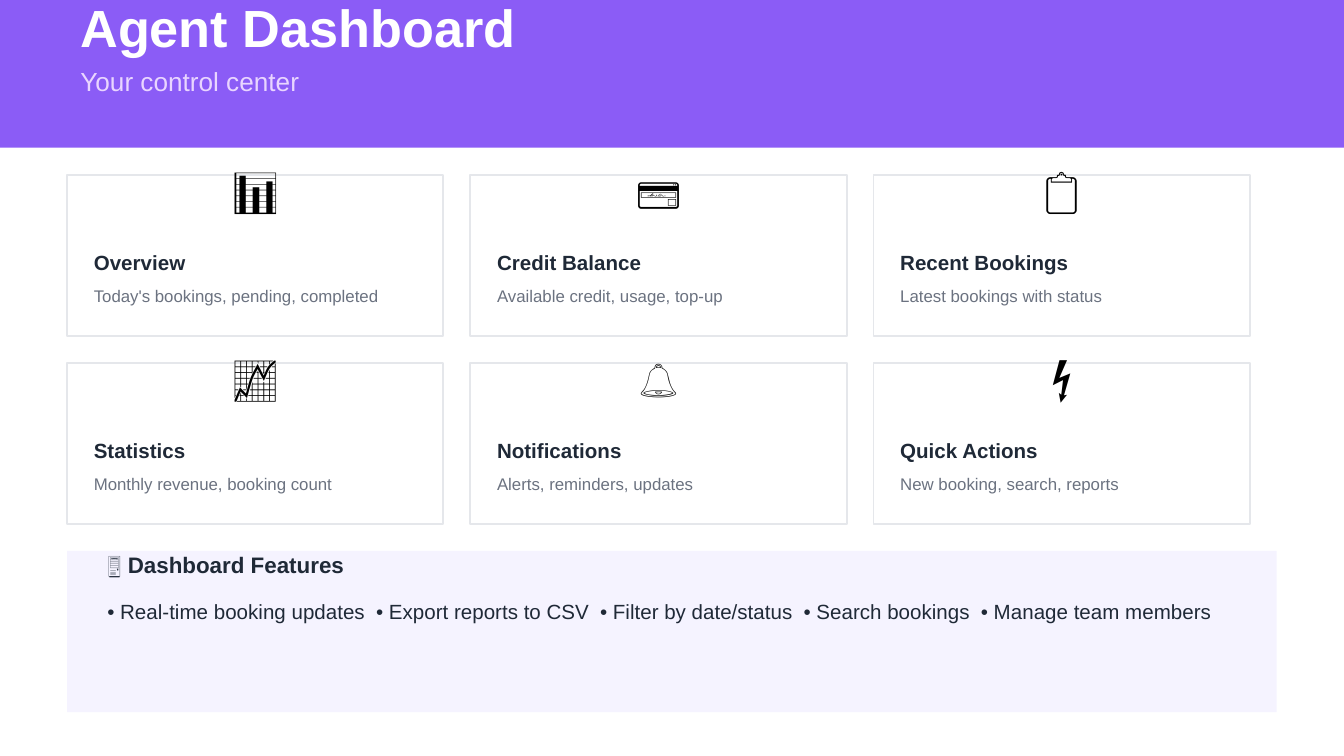
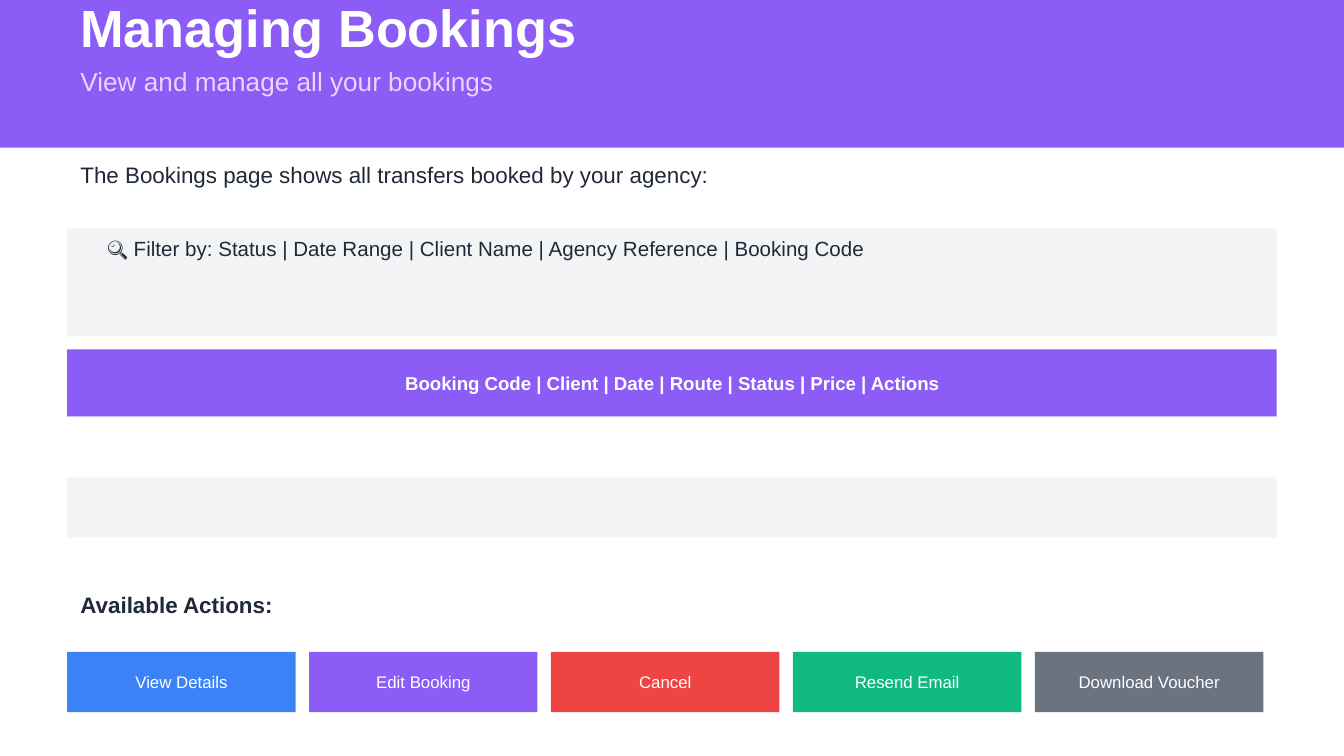
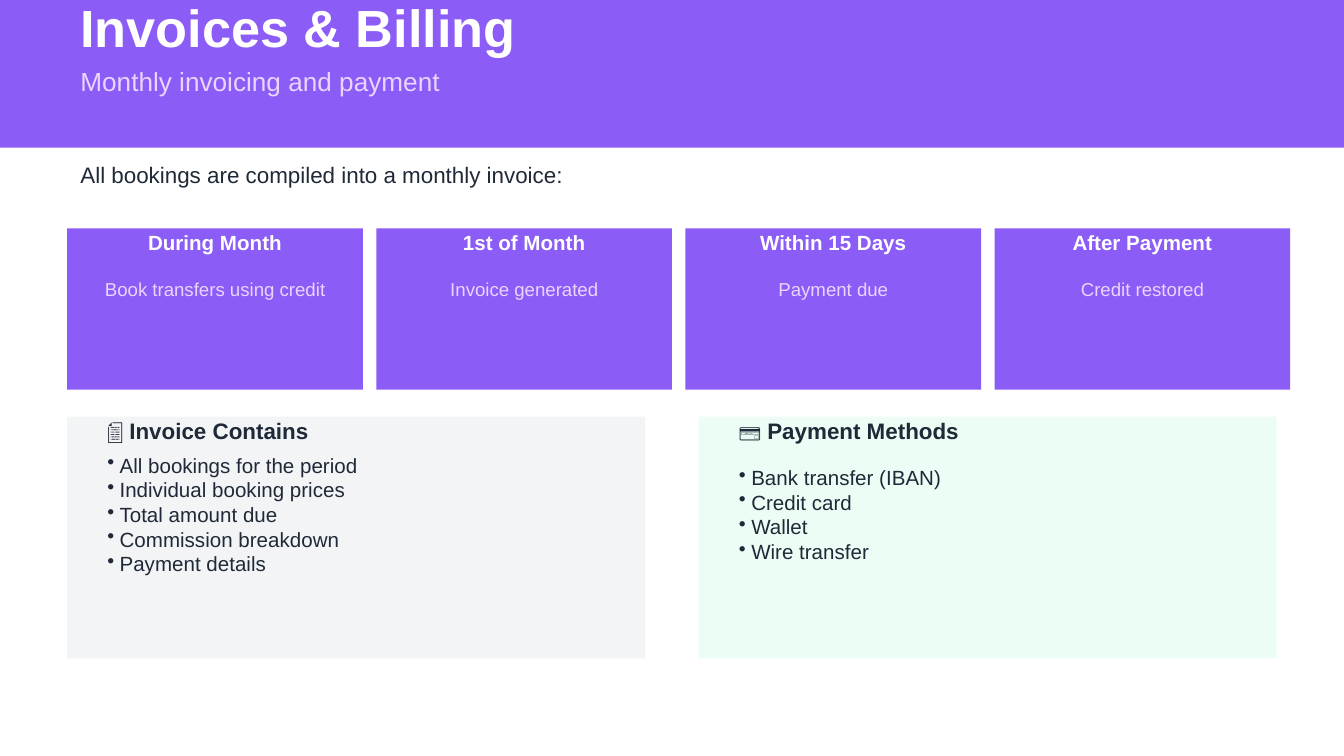
from lxml import etree
from pptx import Presentation
from pptx.dml.color import RGBColor
from pptx.enum import shapes, text
from pptx.oxml.ns import qn
from pptx.util import Pt

# Colours
WHITE = RGBColor(0xFF, 0xFF, 0xFF)
BLACK = RGBColor(0x00, 0x00, 0x00)
PURPLE = RGBColor(0x8B, 0x5C, 0xF6)
LILAC = RGBColor(0xE9, 0xD5, 0xFF)
PALE_LILAC = RGBColor(0xF5, 0xF3, 0xFF)
INK = RGBColor(0x1F, 0x29, 0x37)
GRAY = RGBColor(0x6B, 0x72, 0x80)
PALE_GRAY = RGBColor(0xF3, 0xF4, 0xF6)
BORDER = RGBColor(0xE5, 0xE7, 0xEB)
BLUE = RGBColor(0x3B, 0x82, 0xF6)
RED = RGBColor(0xEF, 0x44, 0x44)
GREEN = RGBColor(0x10, 0xB9, 0x81)
PALE_GREEN = RGBColor(0xEC, 0xFD, 0xF5)

# Shared layout, in points
PAGE_WIDTH, PAGE_HEIGHT = 720, 405
MARGIN = 36
CONTENT_WIDTH = PAGE_WIDTH - 2 * MARGIN
TEXT_WIDTH = 540
BULLET_INDENT = 6.6

# Content
CARDS = [
    ("📊", "Overview", "Today's bookings, pending, completed"),
    ("💳", "Credit Balance", "Available credit, usage, top-up"),
    ("📋", "Recent Bookings", "Latest bookings with status"),
    ("📈", "Statistics", "Monthly revenue, booking count"),
    ("🔔", "Notifications", "Alerts, reminders, updates"),
    ("⚡", "Quick Actions", "New booking, search, reports"),
]
FEATURES = ["Real-time booking updates", "Export reports to CSV",
            "Filter by date/status", "Search bookings", "Manage team members"]
FEATURE_TABS = [144, 264, 373, 468]

FILTERS = ["Status", "Date Range", "Client Name", "Agency Reference", "Booking Code"]
COLUMNS = ["Booking Code", "Client", "Date", "Route", "Status", "Price", "Actions"]
ROW_FILLS = [WHITE, PALE_GRAY, WHITE]
ACTIONS = [
    ("View Details", BLUE),
    ("Edit Booking", PURPLE),
    ("Cancel", RED),
    ("Resend Email", GREEN),
    ("Download Voucher", GRAY),
]

BILLING_STEPS = [
    ("During Month", "Book transfers using credit"),
    ("1st of Month", "Invoice generated"),
    ("Within 15 Days", "Payment due"),
    ("After Payment", "Credit restored"),
]
PANELS = [
    ("📄 Invoice Contains", PALE_GRAY,
     ["All bookings for the period", "Individual booking prices", "Total amount due",
      "Commission breakdown", "Payment details"]),
    ("💳 Payment Methods", PALE_GREEN,
     ["Bank transfer (IBAN)", "Credit card", "Wallet", "Wire transfer"]),
]
LIST_TOP, LIST_PITCH = 242.4, 13.25


def write(para, words, size, color, bold=False, font="Arial", centred=False):
    para.alignment = text.PP_ALIGN.CENTER if centred else text.PP_ALIGN.LEFT
    span = para.add_run()
    span.text = words
    span.font.name = font
    span.font.size = Pt(size)
    span.font.bold = bold
    span.font.color.rgb = color


def add_box(page, left, top, width, height, fill, border=None):
    box = page.shapes.add_shape(shapes.MSO_SHAPE.RECTANGLE,
                                Pt(left), Pt(top), Pt(width), Pt(height))
    box.shadow.inherit = False
    box.fill.solid()
    box.fill.fore_color.rgb = fill
    if border is None:
        box.line.fill.background()
    else:
        box.line.color.rgb = border
        box.line.width = Pt(1)
    return box


def add_label(page, left, middle, width, words, size, color, **style):
    """Add one line of text centred vertically on the height `middle`."""
    box = page.shapes.add_textbox(Pt(left), Pt(middle), Pt(width), Pt(0))
    frame = box.text_frame
    frame.word_wrap = True
    frame.vertical_anchor = text.MSO_ANCHOR.MIDDLE
    write(frame.paragraphs[0], words, size, color, **style)
    return box


def add_button(page, left, top, width, height, fill, words, size, bold=False):
    box = add_box(page, left, top, width, height, fill)
    box.text_frame.vertical_anchor = text.MSO_ANCHOR.MIDDLE
    write(box.text_frame.paragraphs[0], words, size, WHITE, bold=bold, centred=True)


def set_tabs(para, stops):
    tab_list = etree.SubElement(para._p.get_or_add_pPr(), qn("a:tabLst"))
    for stop in stops:
        etree.SubElement(tab_list, qn("a:tab"), pos=str(Pt(stop)), algn="l")


def add_bullets(page, left, top, width, items):
    box = page.shapes.add_textbox(Pt(left), Pt(top), Pt(width),
                                  Pt(LIST_PITCH * len(items)))
    frame = box.text_frame
    frame.word_wrap = True
    frame.margin_top = frame.margin_bottom = 0
    for index, item in enumerate(items):
        para = frame.add_paragraph() if index else frame.paragraphs[0]
        para.line_spacing = Pt(LIST_PITCH)
        write(para, item, 11, INK)
        settings = para._p.get_or_add_pPr()
        settings.set("marL", str(Pt(BULLET_INDENT)))
        settings.set("indent", str(-Pt(BULLET_INDENT)))
        etree.SubElement(settings, qn("a:buChar"), char="•")


def add_page(deck, title, subtitle):
    page = deck.slides.add_slide(deck.slide_layouts[6])
    page.background.fill.solid()
    page.background.fill.fore_color.rgb = WHITE
    add_box(page, 0, 0, PAGE_WIDTH, 79.2, PURPLE)
    add_label(page, MARGIN, 14.4, TEXT_WIDTH, title, 28, WHITE, bold=True)
    add_label(page, MARGIN, 43.2, TEXT_WIDTH, subtitle, 14, LILAC)
    return page


def build_dashboard(deck):
    page = add_page(deck, "Agent Dashboard", "Your control center")

    # Grid of cards, three to a row
    width, height, gap = 201.6, 86.4, 14.4
    for index, (icon, title, detail) in enumerate(CARDS):
        row, column = divmod(index, 3)
        left = MARGIN + column * (width + gap)
        top = 93.6 + row * (height + gap)
        add_box(page, left, top, width, height, WHITE, BORDER)
        add_label(page, left, top + 7.2, width, icon, 24, BLACK,
                  font="Calibri", centred=True)
        add_label(page, left + 7.2, top + 46.8, width - 14.4, title, 11, INK, bold=True)
        add_label(page, left + 7.2, top + 64.8, width - 14.4, detail, 9, GRAY)

    # Feature strip
    add_box(page, MARGIN, 295.2, CONTENT_WIDTH, 86.4, PALE_LILAC)
    add_label(page, 50.4, 302.4, TEXT_WIDTH, "🖥️ Dashboard Features", 12, INK, bold=True)
    features = "\t".join(f"• {feature}" for feature in FEATURES)
    strip = add_label(page, 50.4, 327.6, 612, features, 11, INK)
    set_tabs(strip.text_frame.paragraphs[0], FEATURE_TABS)


def build_bookings(deck):
    page = add_page(deck, "Managing Bookings", "View and manage all your bookings")
    add_label(page, MARGIN, 93.6, TEXT_WIDTH,
              "The Bookings page shows all transfers booked by your agency:", 12, INK)

    # Filter bar
    add_box(page, MARGIN, 122.4, CONTENT_WIDTH, 57.6, PALE_GRAY)
    add_label(page, 50.4, 133.2, TEXT_WIDTH,
              "🔍 Filter by: " + " | ".join(FILTERS), 11, INK)

    # Booking list: heading and striped rows
    add_button(page, MARGIN, 187.2, CONTENT_WIDTH, 36, PURPLE,
               " | ".join(COLUMNS), 10, bold=True)
    row_height = 32.4
    for row, fill in enumerate(ROW_FILLS):
        add_box(page, MARGIN, 223.2 + row * row_height, CONTENT_WIDTH, row_height, fill)

    # Action buttons
    add_label(page, MARGIN, 324, TEXT_WIDTH, "Available Actions:", 12, INK, bold=True)
    width, gap = 122.4, 7.2
    for index, (action, fill) in enumerate(ACTIONS):
        add_button(page, MARGIN + index * (width + gap), 349.2, width, 32.4,
                   fill, action, 9)


def build_billing(deck):
    page = add_page(deck, "Invoices & Billing", "Monthly invoicing and payment")
    add_label(page, MARGIN, 93.6, TEXT_WIDTH,
              "All bookings are compiled into a monthly invoice:", 12, INK)

    # Billing steps
    width, gap, top = 158.4, 7.2, 122.4
    for index, (step, detail) in enumerate(BILLING_STEPS):
        left = MARGIN + index * (width + gap)
        add_box(page, left, top, width, 86.4, PURPLE)
        add_label(page, left, top + 7.2, width, step, 11, WHITE, bold=True, centred=True)
        add_label(page, left, top + 32.4, width, detail, 10, LILAC, centred=True)

    # Two panels with lists of different length, centred on one line
    width, gap, top = 309.6, 28.8, 223.2
    longest = max(len(items) for _, _, items in PANELS)
    for index, (heading, fill, items) in enumerate(PANELS):
        left = MARGIN + index * (width + gap)
        add_box(page, left, top, width, 129.6, fill)
        add_label(page, left + 14.4, top + 7.2, width - 28.8, heading, 12, INK, bold=True)
        list_top = LIST_TOP + (longest - len(items)) * LIST_PITCH / 2
        add_bullets(page, left + 14.4, list_top, width - 28.8, items)


def main():
    deck = Presentation()
    deck.slide_width, deck.slide_height = Pt(PAGE_WIDTH), Pt(PAGE_HEIGHT)
    build_dashboard(deck)
    build_bookings(deck)
    build_billing(deck)
    deck.save("out.pptx")


if __name__ == "__main__":
    main()
